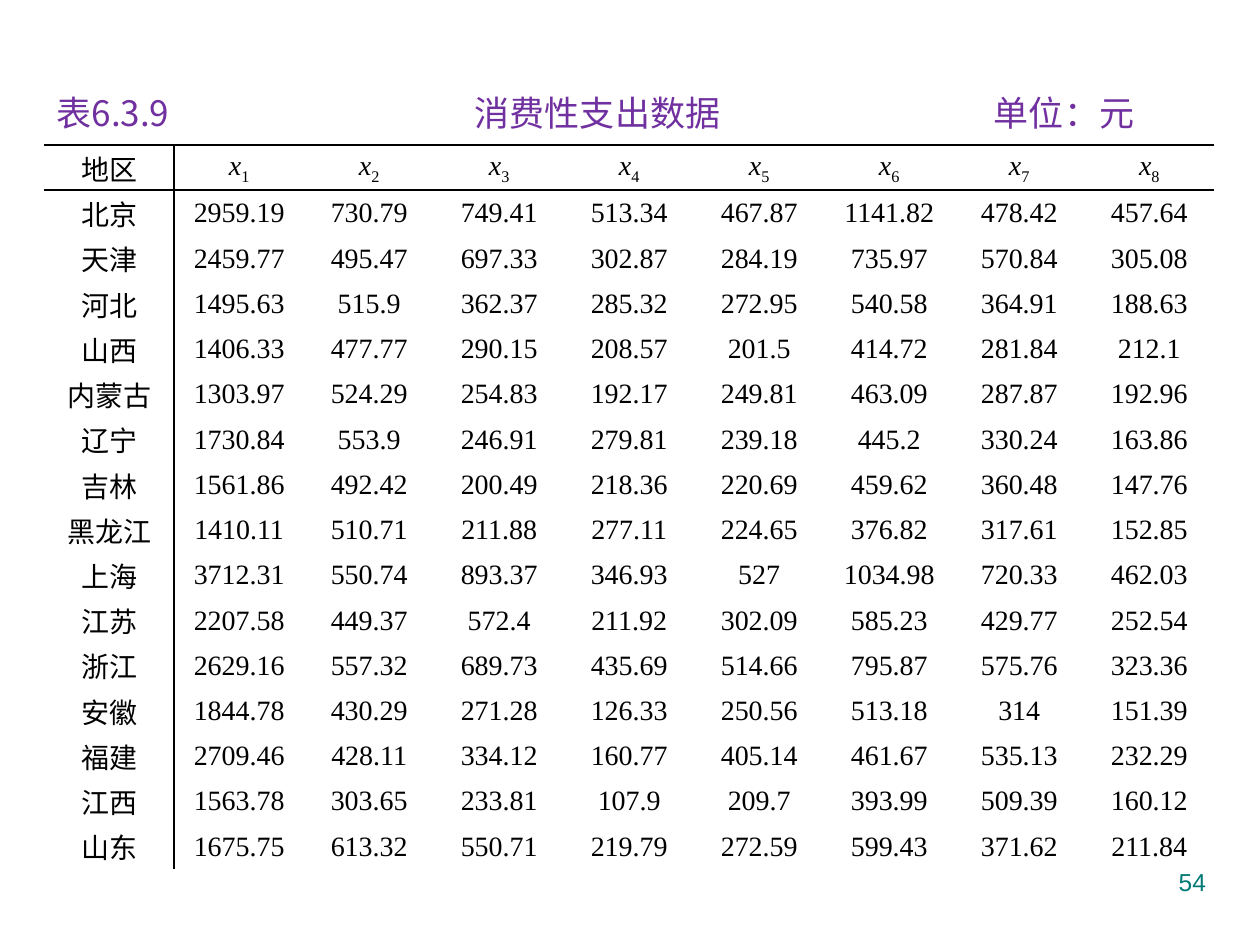
from lxml.etree import SubElement
from pptx import Presentation
from pptx.dml.color import RGBColor
from pptx.enum.text import MSO_ANCHOR as Anchor, MSO_AUTO_SIZE as AutoSize, PP_ALIGN as Align
from pptx.oxml.ns import qn
from pptx.util import Inches, Pt

BLACK = RGBColor(0x00, 0x00, 0x00)
PURPLE = RGBColor(0x70, 0x30, 0xA0)
TEAL = RGBColor(0x00, 0x7A, 0x77)
HAN_FONT = "Noto Sans CJK SC"
NUMBER_FONT = "Times New Roman"
NO_STYLE = "{2D5ABB26-0587-4C30-8999-92F81FD0307C}"

CAPTION = ("表6.3.9", "消费性支出数据", "单位：元")
CAPTION_STOPS = (3.32, 7.44)
VARIABLE_COUNT = 8
EXPENSES = [
    ("北京", 2959.19, 730.79, 749.41, 513.34, 467.87, 1141.82, 478.42, 457.64),
    ("天津", 2459.77, 495.47, 697.33, 302.87, 284.19, 735.97, 570.84, 305.08),
    ("河北", 1495.63, 515.9, 362.37, 285.32, 272.95, 540.58, 364.91, 188.63),
    ("山西", 1406.33, 477.77, 290.15, 208.57, 201.5, 414.72, 281.84, 212.1),
    ("内蒙古", 1303.97, 524.29, 254.83, 192.17, 249.81, 463.09, 287.87, 192.96),
    ("辽宁", 1730.84, 553.9, 246.91, 279.81, 239.18, 445.2, 330.24, 163.86),
    ("吉林", 1561.86, 492.42, 200.49, 218.36, 220.69, 459.62, 360.48, 147.76),
    ("黑龙江", 1410.11, 510.71, 211.88, 277.11, 224.65, 376.82, 317.61, 152.85),
    ("上海", 3712.31, 550.74, 893.37, 346.93, 527, 1034.98, 720.33, 462.03),
    ("江苏", 2207.58, 449.37, 572.4, 211.92, 302.09, 585.23, 429.77, 252.54),
    ("浙江", 2629.16, 557.32, 689.73, 435.69, 514.66, 795.87, 575.76, 323.36),
    ("安徽", 1844.78, 430.29, 271.28, 126.33, 250.56, 513.18, 314, 151.39),
    ("福建", 2709.46, 428.11, 334.12, 160.77, 405.14, 461.67, 535.13, 232.29),
    ("江西", 1563.78, 303.65, 233.81, 107.9, 209.7, 393.99, 509.39, 160.12),
    ("山东", 1675.75, 613.32, 550.71, 219.79, 272.59, 599.43, 371.62, 211.84),
]


def add_span(para, text, size, font, color):
    span = para.add_run()
    span.text = text
    span.font.size = Pt(size)
    span.font.name = font
    span.font.color.rgb = color
    SubElement(span.font._element, qn("a:ea"), typeface=HAN_FONT)
    return span


def add_text_box(page, box):
    frame = page.shapes.add_textbox(*map(Inches, box)).text_frame
    frame.word_wrap = True
    return frame


def add_caption(page, box):
    frame = add_text_box(page, box)
    frame.auto_size = AutoSize.SHAPE_TO_FIT_TEXT
    para = frame.paragraphs[0]
    stops = SubElement(para._p.get_or_add_pPr(), qn("a:tabLst"))
    for stop in CAPTION_STOPS:
        SubElement(stops, qn("a:tab"), pos=str(Inches(stop)), algn="l")
    add_span(para, "\t".join(CAPTION), 20, HAN_FONT, PURPLE)


def add_page_number(page, box, number):
    para = add_text_box(page, box).paragraphs[0]
    para.alignment = Align.RIGHT
    add_span(para, str(number), 14, "Arial", TEAL)


def set_borders(cell, ruled_sides):
    """Rule the named sides (L, R, T, B) in black and leave the others bare."""
    properties = cell._tc.get_or_add_tcPr()
    for side in "LRTB":
        line = SubElement(properties, qn(f"a:ln{side}"), w=str(Pt(1)))
        if side in ruled_sides:
            fill = SubElement(line, qn("a:solidFill"))
            SubElement(fill, qn("a:srgbClr"), val=str(BLACK))
        else:
            SubElement(line, qn("a:noFill"))


def format_cell(cell, row, column):
    sides = {0: "TB", 1: "T"}.get(row, "") + {0: "R", 1: "L"}.get(column, "")
    set_borders(cell, sides)
    cell.fill.background()
    cell.vertical_anchor = Anchor.MIDDLE
    cell.margin_left = cell.margin_right = cell.margin_top = Inches(0.01)
    cell.margin_bottom = 0
    cell.text_frame.paragraphs[0].alignment = Align.CENTER


def add_variable(para, index):
    """Write an italic x with an upright subscript."""
    add_span(para, "x", 16, NUMBER_FONT, BLACK).font.italic = True
    subscript = add_span(para, str(index), 16, NUMBER_FONT, BLACK)
    subscript.font._element.set("baseline", "-25000")


def add_expense_table(page, box):
    rows, columns = len(EXPENSES) + 1, VARIABLE_COUNT + 1
    left, top, width, height = map(Inches, box)
    table = page.shapes.add_table(rows, columns, left, top, width, height).table
    table._tbl.tblPr.find(qn("a:tableStyleId")).text = NO_STYLE
    table.first_row = table.horz_banding = False
    for column in table.columns:
        column.width = width // columns
    for row in table.rows:
        row.height = height // rows

    for row in range(rows):
        for column in range(columns):
            cell = table.cell(row, column)
            format_cell(cell, row, column)
            para = cell.text_frame.paragraphs[0]
            if row == 0 and column > 0:
                add_variable(para, column)
            else:
                text = str(EXPENSES[row - 1][column]) if row else "地区"
                add_span(para, text, 16, NUMBER_FONT, BLACK)


def main():
    deck = Presentation()
    deck.slide_width, deck.slide_height = Inches(10), Inches(7.5)
    page = deck.slides.add_slide(deck.slide_layouts[6])
    add_caption(page, (0.35, 0.68, 9.29, 0.44))
    add_expense_table(page, (0.35, 1.15, 9.29, 5.75))
    add_page_number(page, (7.17, 6.83, 2.5, 0.52), 54)
    deck.save("out.pptx")


if __name__ == "__main__":
    main()
